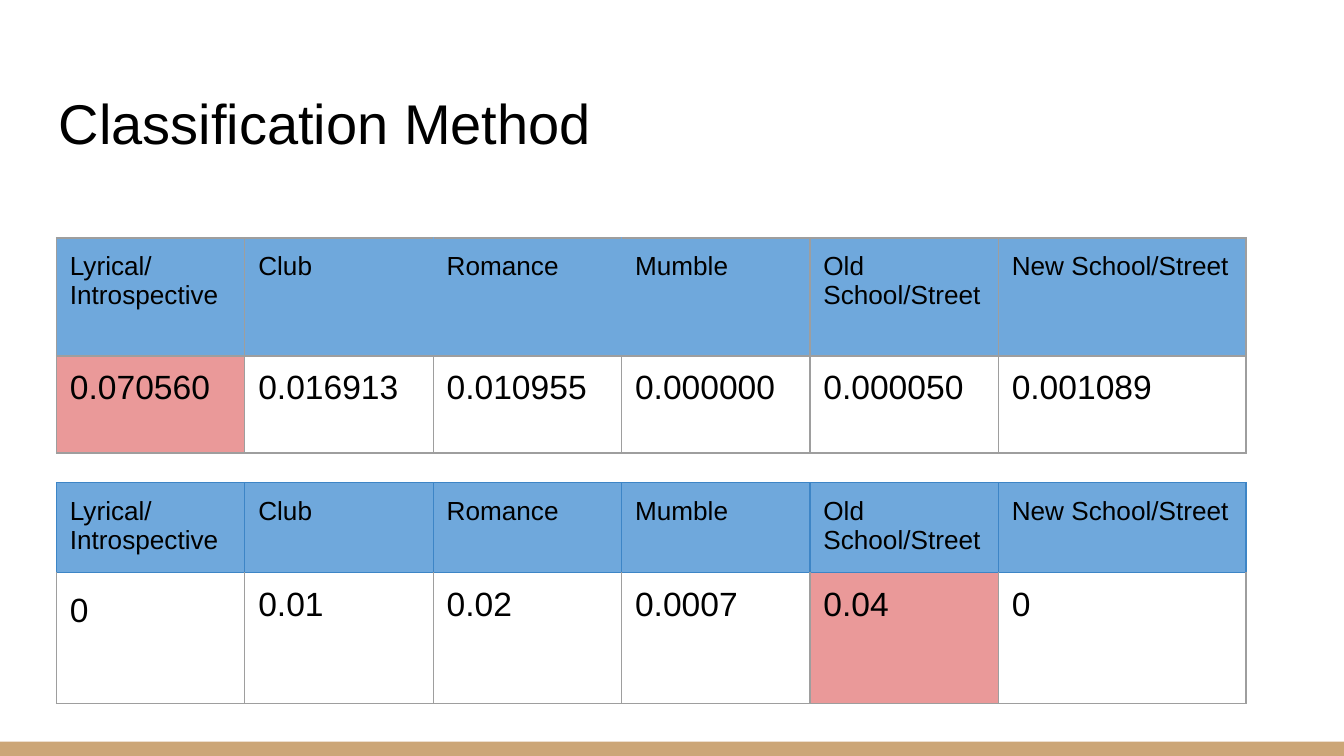
from lxml import etree
from pptx import Presentation
from pptx.dml.color import RGBColor
from pptx.enum.shapes import MSO_SHAPE
from pptx.enum.text import MSO_ANCHOR
from pptx.oxml.ns import qn
from pptx.util import Pt

RECTANGLE = MSO_SHAPE.RECTANGLE
BOTTOM = MSO_ANCHOR.BOTTOM
BLACK, GRAY, BLUE = "000000", "9E9E9E", "3D85C6"
HEADER_BLUE, WINNER_PINK, FOOTER_TAN = "6FA8DC", "EA9999", "CCA677"
GENRES = ["Lyrical/Introspective", "Club", "Romance", "Mumble",
          "Old School/Street", "New School/Street"]
GENRE_WIDTHS = [100.93] * 5 + [132.7]
TABLE_LEFT = 30.25
INSETS = {side: Pt(7.2) for side in
          ("margin_left", "margin_right", "margin_top", "margin_bottom")}


def color(hex_value):
    """Turn a hex string into a colour."""
    return RGBColor.from_string(hex_value)


def apply(target, values):
    """Set attributes of an object from a dict."""
    for name, value in values.items():
        setattr(target, name, value)


def write(frame, text, size):
    """Write one black Arial paragraph and return it."""
    paragraph = frame.paragraphs[0]
    paragraph.text = text
    font = paragraph.runs[0].font
    apply(font, {"name": "Arial", "size": Pt(size)})
    font.color.rgb = color(BLACK)
    return paragraph


def set_borders(cell, borders):
    """Draw the left, right, top and bottom borders of a cell."""
    properties = cell._tc.get_or_add_tcPr()
    for side, hex_value in zip("LRTB", borders):
        line = etree.SubElement(properties, qn(f"a:ln{side}"), w=str(Pt(0.75)))
        fill = etree.SubElement(line, qn("a:solidFill"))
        etree.SubElement(fill, qn("a:srgbClr"), val=hex_value)


def fill_cell(cell, text, size, borders, fill=None):
    """Format a cell and return its paragraph."""
    set_borders(cell, borders)
    apply(cell, INSETS)
    if fill:
        cell.fill.solid()
        cell.fill.fore_color.rgb = color(fill)
    else:
        cell.fill.background()
    return write(cell.text_frame, text, size)


def add_score_table(slide, top, heights, scores, winner, header_line, open_edges=()):
    """Add a table of genre scores with the winner marked."""
    table = slide.shapes.add_table(
        2, len(GENRES), Pt(TABLE_LEFT), Pt(top),
        Pt(sum(GENRE_WIDTHS)), Pt(sum(heights))).table
    apply(table, {"first_row": False, "horz_banding": False})
    for row, height in zip(table.rows, heights):
        row.height = Pt(height)
    for index, (genre, score) in enumerate(zip(GENRES, scores)):
        table.columns[index].width = Pt(GENRE_WIDTHS[index])
        sides = [HEADER_BLUE if edge in open_edges else header_line
                 for edge in (index, index + 1)]
        fill_cell(table.cell(0, index), genre, 14,
                  sides + [header_line] * 2, HEADER_BLUE)
        fill_cell(table.cell(1, index), score, 18, [GRAY, GRAY, header_line, GRAY],
                  WINNER_PINK if index == winner else None)
    return table


def add_title(slide, text):
    """Add the slide title."""
    frame = slide.shapes.add_textbox(Pt(24.5), Pt(25.2), Pt(671), Pt(65.5)).text_frame
    apply(frame, {**INSETS, "word_wrap": True, "vertical_anchor": BOTTOM})
    write(frame, text, 30)


def add_footer_bar(slide):
    """Add the coloured bar along the bottom edge."""
    bar = slide.shapes.add_shape(RECTANGLE, 0, Pt(397.3), Pt(720), Pt(7.7))
    bar.shadow.inherit = False
    bar.fill.solid()
    bar.fill.fore_color.rgb = color(FOOTER_TAN)
    bar.line.fill.background()


def main():
    """Build and save the slide."""
    deck = Presentation()
    apply(deck, {"slide_width": Pt(720), "slide_height": Pt(405)})
    slide = deck.slides.add_slide(deck.slide_layouts[6])
    add_footer_bar(slide)
    add_title(slide, "Classification Method")
    add_score_table(
        slide, 127.5, [63.2, 52],
        ["0.070560", "0.016913", "0.010955", "0.000000", "0.000050", "0.001089"],
        winner=0, header_line=GRAY, open_edges=(2, 3))
    second = add_score_table(
        slide, 258.7, [46, 70.2], ["0", "0.01", "0.02", "0.0007", "0.04", "0"],
        winner=4, header_line=BLUE)
    second.cell(1, 0).text_frame.paragraphs[0].line_spacing = 1.15
    deck.save("out.pptx")


if __name__ == "__main__":
    main()
